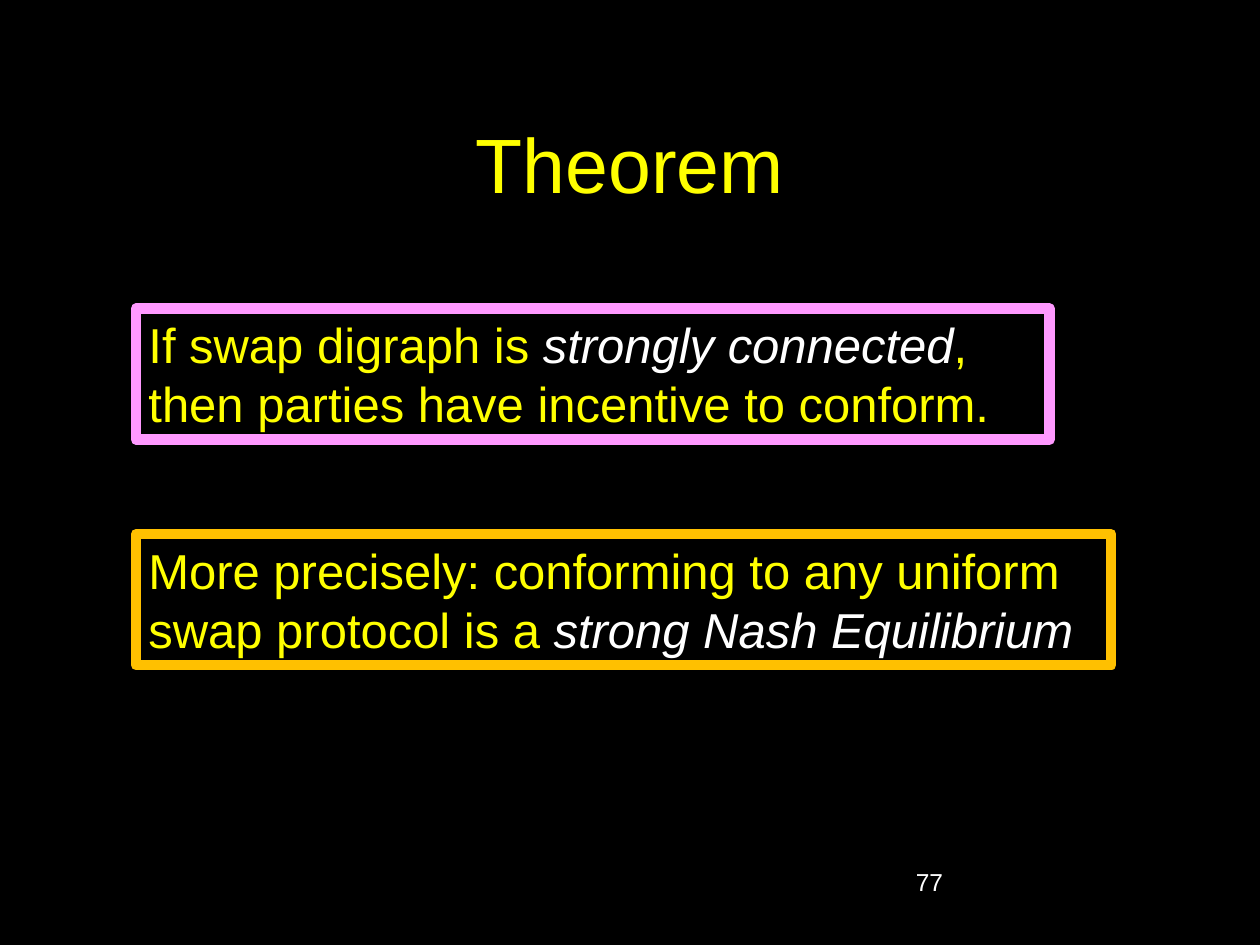
from pptx import Presentation
from pptx.dml.color import RGBColor
from pptx.enum.shapes import MSO_SHAPE
from pptx.enum.text import MSO_ANCHOR, MSO_AUTO_SIZE, PP_ALIGN
from pptx.util import Inches, Pt

RECT = MSO_SHAPE.RECTANGLE
TOP, MIDDLE = MSO_ANCHOR.TOP, MSO_ANCHOR.MIDDLE
LEFT, CENTER = PP_ALIGN.LEFT, PP_ALIGN.CENTER
GROW = MSO_AUTO_SIZE.SHAPE_TO_FIT_TEXT
BLACK, WHITE, YELLOW = "000000", "FFFFFF", "FFFF00"
PINK, ORANGE = "FF99FF", "FFC000"


def rgb(value):
    return RGBColor.from_string(value)


def add_run(p, text, size, color, italic=False):
    r = p.add_run()
    r.text = text
    r.font.name = "Arial"
    r.font.size = Pt(size)
    r.font.italic = italic
    r.font.color.rgb = rgb(color)


prs = Presentation()
prs.slide_width, prs.slide_height = Inches(10), Inches(7.5)
s = prs.slides.add_slide(prs.slide_layouts[5])
s.background.fill.solid()
s.background.fill.fore_color.rgb = rgb(BLACK)

title = s.shapes.title
title.left, title.top = Inches(0.75), Inches(0.67)
title.width, title.height = Inches(8.5), Inches(1.25)
tf = title.text_frame
tf.vertical_anchor = MIDDLE
tf.paragraphs[0].alignment = CENTER
add_run(tf.paragraphs[0], "Theorem", 44, YELLOW)

number = s.shapes.add_textbox(Inches(7.17), Inches(6.83), Inches(2.08), Inches(0.5))
number.text_frame.word_wrap = True
add_run(number.text_frame.paragraphs[0], "77", 14, WHITE)

# top, width, border colour, runs as (text, emphasised)
statements = [
    (2.45, 7.25, PINK, [
        ("If swap digraph is ", False),
        ("strongly connected", True),
        (", then parties have incentive to conform.", False),
    ]),
    (4.24, 7.74, ORANGE, [
        ("More precisely: conforming to any uniform swap protocol is a ", False),
        ("strong Nash Equilibrium", True),
    ]),
]
for top, width, border, runs in statements:
    sp = s.shapes.add_shape(RECT, Inches(1.08), Inches(top), Inches(width), Inches(1.04))
    sp.shadow.inherit = False
    sp.fill.solid()
    sp.fill.fore_color.rgb = rgb(BLACK)
    sp.line.color.rgb = rgb(border)
    sp.line.width = Pt(6)
    tf = sp.text_frame
    tf.word_wrap = True
    tf.auto_size = GROW
    tf.vertical_anchor = TOP
    p = tf.paragraphs[0]
    p.alignment = LEFT
    for text, emphasised in runs:
        add_run(p, text, 28, WHITE if emphasised else YELLOW, emphasised)

prs.save("out.pptx")
